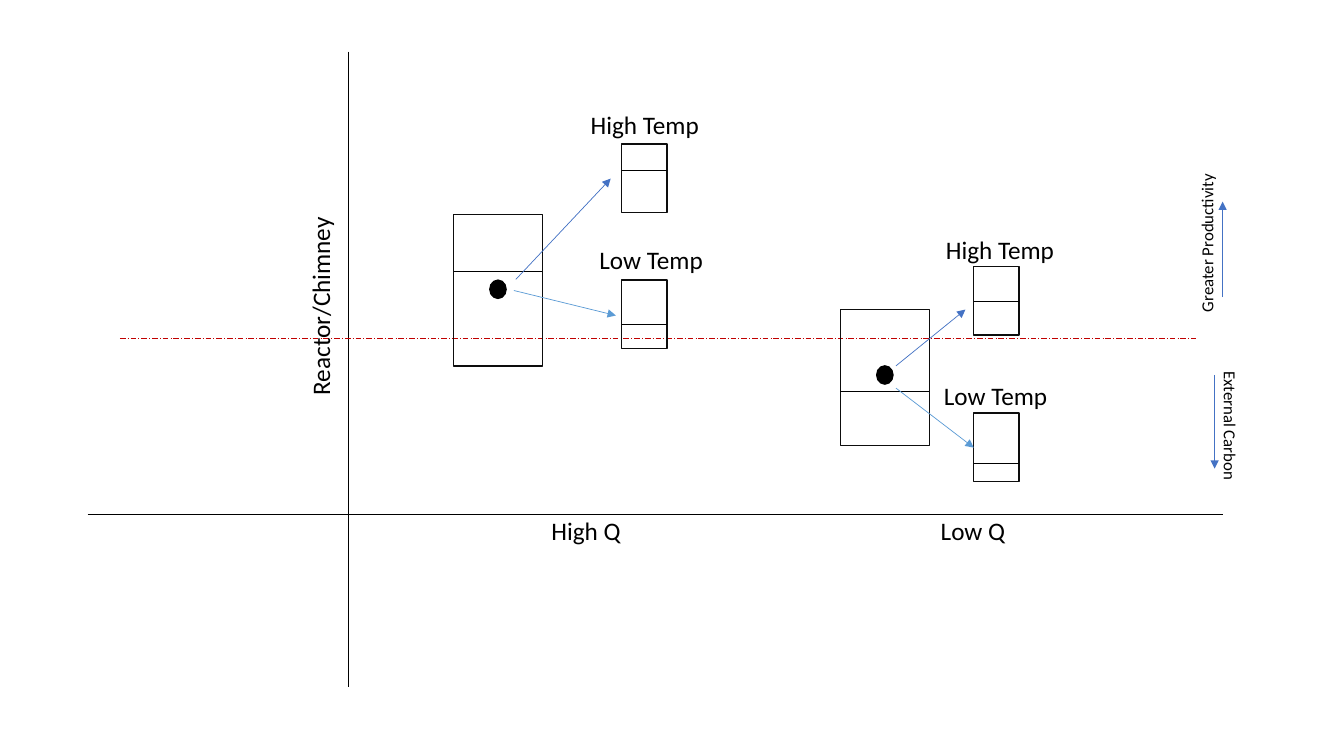
from lxml import etree
from pptx import Presentation
from pptx.dml.color import RGBColor
from pptx.enum import dml, shapes, text
from pptx.oxml import ns
from pptx.util import Cm, Pt

COLOURS = {"ink": "000000", "outline": "0D0D0D", "limit": "C00000",
           "high": "4472C4", "low": "5B9BD5"}
REACTOR_WIDTH = 2.24
VESSEL_WIDTH, VESSEL_HEIGHT = 1.14, 1.73
DOT_WIDTH, DOT_HEIGHT = 0.41, 0.46
LABEL_WIDTH, LABEL_HEIGHT = 3.3, 1.02
AXIS_X, AXIS_Y = 8.79, 12.95


def colour(name):
    """Return a named colour."""
    return RGBColor.from_string(COLOURS[name])


def draw_line(slide, start, end, ink="ink", arrow=False):
    """Draw a thin line, with an arrowhead if asked."""
    line = slide.shapes.add_connector(
        shapes.MSO_CONNECTOR.STRAIGHT, *map(Cm, start + end))
    line.line.color.rgb = colour(ink)
    line.line.width = Pt(0.5)
    if arrow:
        etree.SubElement(line.line._get_or_add_ln(), ns.qn("a:tailEnd"), type="triangle")
    etree.SubElement(line._element.spPr, ns.qn("a:effectLst"))
    return line


def draw_shape(slide, kind, left, top, width, height, outline, fill=None):
    """Draw an outlined preset shape, filled if a colour is given."""
    shape = slide.shapes.add_shape(kind, *map(Cm, (left, top, width, height)))
    shape.shadow.inherit = False
    shape.line.color.rgb = colour(outline)
    shape.line.width = Pt(1)
    if fill:
        shape.fill.solid()
        shape.fill.fore_color.rgb = colour(fill)
    else:
        shape.fill.background()


def draw_label(slide, words, left, top, width=LABEL_WIDTH, height=LABEL_HEIGHT,
               size=18, rotation=0):
    """Write one centred label."""
    label = slide.shapes.add_textbox(*map(Cm, (left, top, width, height)))
    label.rotation = rotation
    label.text_frame.word_wrap = True
    label.text_frame.auto_size = text.MSO_AUTO_SIZE.SHAPE_TO_FIT_TEXT
    paragraph = label.text_frame.paragraphs[0]
    paragraph.text = words
    paragraph.alignment = text.PP_ALIGN.CENTER
    paragraph.font.name = "Calibri"
    paragraph.font.size = Pt(size)
    paragraph.font.color.rgb = colour("ink")


def draw_tank(slide, left, top, width, height, level):
    """Draw a box divided at its level."""
    draw_shape(slide, shapes.MSO_SHAPE.RECTANGLE, left, top, width, height, "outline")
    draw_line(slide, (left, top + level), (left + width, top + level))


def draw_axes(slide):
    """Draw both axes, the limit line and the vertical axis title."""
    draw_line(slide, (AXIS_X, 1.3), (AXIS_X, 17.3))
    draw_line(slide, (2.21, AXIS_Y), (30.81, AXIS_Y))
    limit = draw_line(slide, (3.02, 8.53), (30.15, 8.53), "limit")
    limit.line.dash_style = dml.MSO_LINE.LONG_DASH_DOT
    draw_label(slide, "Reactor/Chimney", 5.38, 7.21, width=5.38, rotation=270)


def draw_flow_case(slide, left, top, height, level, dot_top, name, outcomes):
    """Draw a reactor with its two temperature outcomes, relative to its corner."""
    draw_tank(slide, left, top, REACTOR_WIDTH, height, level)
    draw_shape(slide, shapes.MSO_SHAPE.OVAL, left + (REACTOR_WIDTH - DOT_WIDTH) / 2,
               top + dot_top, DOT_WIDTH, DOT_HEIGHT, "ink", "ink")
    draw_label(slide, name, left + 1.69, AXIS_Y - 0.08)
    for key, (dx, dy), vessel_level, (label_dx, label_dy), start, end in outcomes:
        vessel_left, vessel_top = left + dx, top + dy
        draw_tank(slide, vessel_left, vessel_top, VESSEL_WIDTH, VESSEL_HEIGHT, vessel_level)
        draw_label(slide, f"{key.title()} Temp", vessel_left + label_dx, vessel_top + label_dy)
        draw_line(slide, (left + start[0], top + start[1]),
                  (left + end[0], top + end[1]), key, arrow=True)


def draw_trend(slide, words, left, top, rotation, arrow_x, start_y, end_y):
    """Draw a turned side note with its arrow."""
    draw_label(slide, words, left, top, 4.09, 0.77, size=12, rotation=rotation)
    draw_line(slide, (arrow_x, start_y), (arrow_x, end_y), "high", arrow=True)


def main():
    """Build and save the slide."""
    deck = Presentation()
    deck.slide_width, deck.slide_height = Cm(33.87), Cm(19.05)
    slide = deck.slides.add_slide(deck.slide_layouts[6])
    draw_axes(slide)
    draw_flow_case(slide, 11.43, 5.41, 3.81, 1.42, 1.65, "High Q", [
        ("high", (4.24, -1.78), 0.66, (-1.07, -1.01), (1.57, 1.63), (3.96, -0.91)),
        ("low", (4.24, 1.65), 1.12, (-0.91, -1.04), (1.52, 1.91), (4.09, 2.54))])
    draw_flow_case(slide, 21.18, 7.8, 3.43, 2.06, 1.42, "Low Q", [
        ("high", (3.36, -1.09), 0.88, (-0.99, -0.94), (1.4, 1.42), (3.15, 0)),
        ("low", (3.36, 2.61), 1.27, (-1.1, -0.94), (1.4, 1.98), (3.36, 3.48))])
    draw_trend(slide, "Greater Productivity", 28.37, 5.74, 270, 30.81, 7.49, 5.08)
    draw_trend(slide, "External Carbon", 28.96, 10.34, 90, 30.61, 9.45, 11.81)
    deck.save("out.pptx")


if __name__ == "__main__":
    main()
